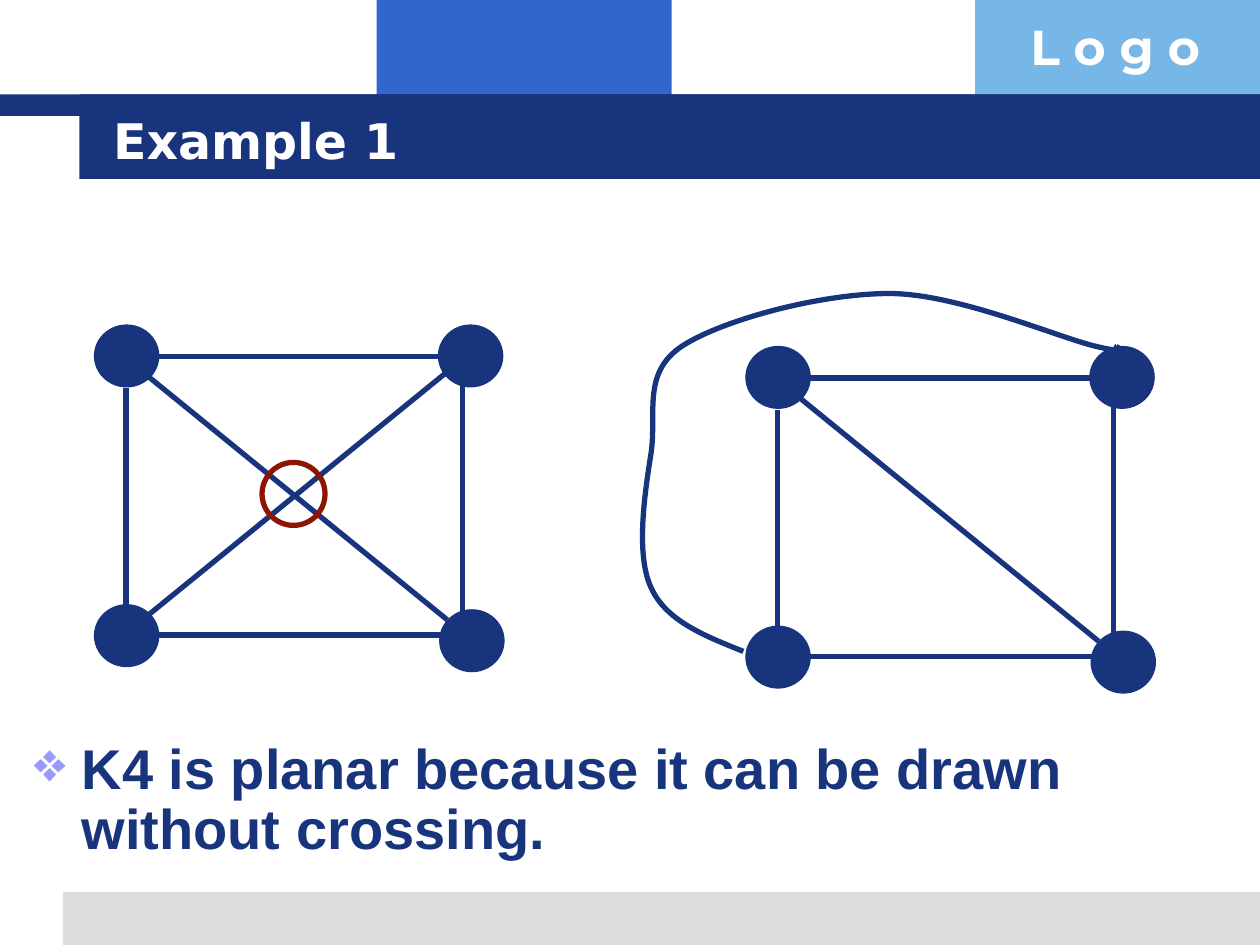
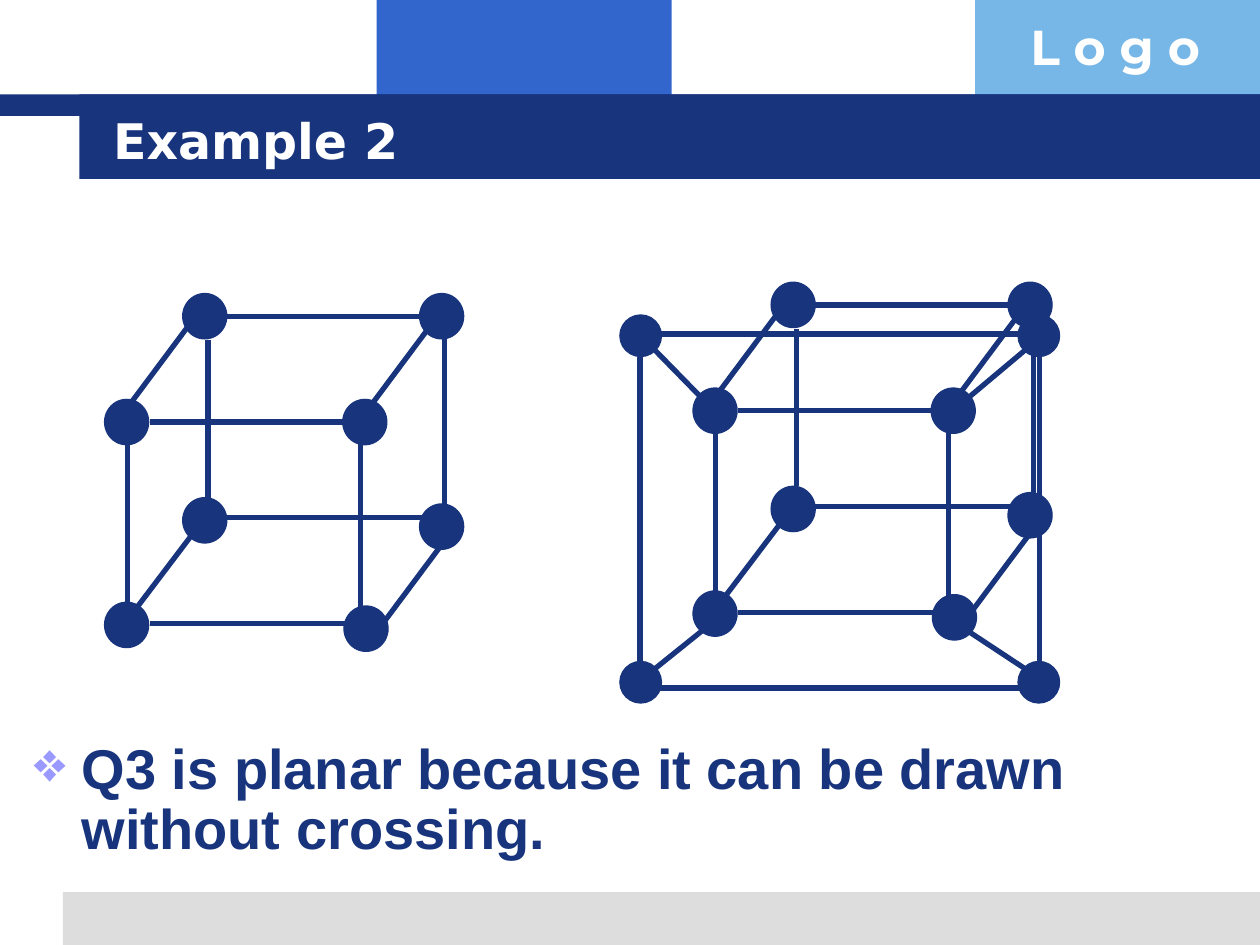
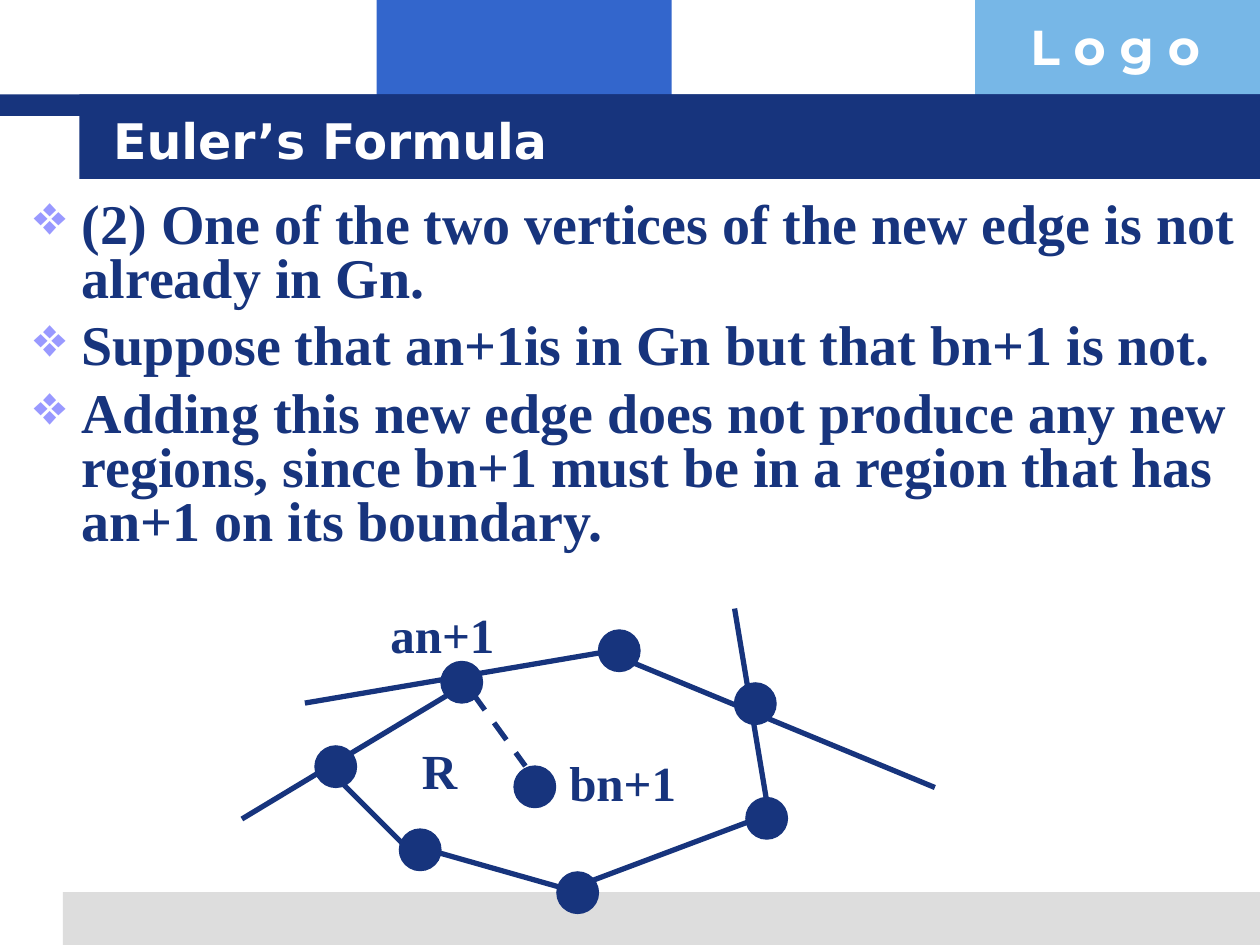
from dataclasses import dataclass
from itertools import product

from lxml import etree
from pptx import Presentation
from pptx import util as u
from pptx.dml.color import RGBColor
from pptx.enum import dml, shapes, text
from pptx.oxml import ns

PX = 9144  # EMU in one px, 100 px to the inch


@dataclass(frozen=True)
class Theme:
    navy: str = "17347D"
    blue: str = "3366CC"
    sky: str = "77B7E7"
    grey: str = "DDDDDD"
    white: str = "FFFFFF"
    red: str = "8C1602"
    bullet: str = "9999FF"
    heading_size: int = 28
    body_size: int = 32
    edge_width: float = 3
    node_line: float = 0.75
    title_font: str = "DejaVu Sans"
    logo_font: str = "Montserrat"
    sans: str = "Arial"
    serif: str = "Times New Roman"


THEME = Theme()

# Complete graph on four vertices, measured from its top left corner
K4_NODES = [(0, 0), (0, 222), (273, 0), (274, 226)]
K4_EDGES = [
    ((38, 37), (280, 234)), ((51, 25), (280, 25)), ((51, 246), (280, 246)),
    ((25, 50), (25, 222)), ((292, 37), (292, 234)),
]
K4_CROSSING = ((38, 234), (280, 37))
K4_DETOUR = [
    (590, 517), (560, 505), (529, 493), (517, 467), (504, 440), (512, 390), (517, 358),
    (521, 326), (510, 296), (541, 275), (573, 254), (651, 233), (706, 233),
    (760, 233), (840, 268), (870, 275), (900, 282), (884, 274), (886, 275),
]

# Cube, measured from its front top left vertex
CUBE_NODES = [(0, 0), (0, 161), (189, 0), (190, 164),
              (62, -84), (250, -84), (250, 83), (62, 78)]
CUBE_EDGES = [
    ((36, 18), (194, 18)), ((36, 178), (194, 178)),
    ((18, 35), (18, 161)), ((203, 26), (203, 169)),
    ((97, -66), (255, -66)), ((96, 94), (254, 94)),
    ((82, -47), (82, 78)), ((270, -49), (270, 94)),
    ((67, -59), (17, 8)), ((259, -59), (209, 8)),
    ((75, 100), (25, 166)), ((267, 116), (217, 183)),
]
OUTER_NODES = list(product((492, 808), (250, 525)))
OUTER_EDGES = [
    ((517, 265), (823, 265)), ((518, 546), (823, 546)),
    ((508, 283), (508, 527)), ((825, 280), (825, 531)),
    ((517, 275), (558, 317)), ((767, 500), (817, 533)),
    ((517, 533), (558, 500)), ((767, 317), (817, 275)),
]

# Region R with the new edge
REGION_NODES = [(350, 525), (250, 592), (317, 658), (442, 692),
                (475, 500), (583, 542), (592, 633), (408, 608)]
REGION_EDGES = [
    ((583, 483), (608, 633)), ((500, 525), (742, 625)), ((242, 558), (483, 517)),
    ((358, 550), (192, 650)), ((267, 617), (333, 683)), ((342, 675), (458, 708)),
    ((467, 700), (600, 650)),
]


def color(code):
    return RGBColor.from_string(code)


def add_preset(page, kind, left, top, width, height, fill=None, line=None, weight=0):
    shape = page.shapes.add_shape(kind, left * PX, top * PX, width * PX, height * PX)
    shape.shadow.inherit = False
    if fill:
        shape.fill.solid()
        shape.fill.fore_color.rgb = color(fill)
    else:
        shape.fill.background()
    if line:
        shape.line.color.rgb = color(line)
        shape.line.width = u.Pt(weight)
    else:
        shape.line.fill.background()


def add_band(page, left, top, width, height, fill):
    add_preset(page, shapes.MSO_SHAPE.RECTANGLE, left, top, width, height, fill)


def add_edge(page, start, end, dashed=False):
    edge = page.shapes.add_connector(
        shapes.MSO_CONNECTOR.STRAIGHT, *(value * PX for value in (*start, *end)))
    edge.line.color.rgb = color(THEME.navy)
    edge.line.width = u.Pt(THEME.edge_width)
    if dashed:
        edge.line.dash_style = dml.MSO_LINE.DASH
    etree.SubElement(edge._element.spPr, ns.qn("a:effectLst"))


def add_graph(page, nodes, edges, node_size, origin=(0, 0)):
    x, y = origin
    for (x1, y1), (x2, y2) in edges:
        add_edge(page, (x + x1, y + y1), (x + x2, y + y2))
    for left, top in nodes:
        add_preset(page, shapes.MSO_SHAPE.OVAL, x + left, y + top, *node_size,
                   THEME.navy, THEME.navy, THEME.node_line)


def add_curve(page, points):
    """Draw cubic curves: a start point, then two handles and an end for each."""
    builder = page.shapes.build_freeform(*points[0], scale=PX)
    builder.add_line_segments(points[1:], close=False)
    curve = builder.convert_to_shape()
    curve.shadow.inherit = False
    curve.fill.background()
    curve.line.color.rgb = color(THEME.navy)
    curve.line.width = u.Pt(THEME.edge_width)
    outline = curve._element.find(".//" + ns.qn("a:path"))
    steps = outline.findall(ns.qn("a:lnTo"))
    for first in range(0, len(steps), 3):
        bend = etree.SubElement(outline, ns.qn("a:cubicBezTo"))
        for step in steps[first:first + 3]:
            bend.append(step[0])
            outline.remove(step)


def add_text(page, left, top, width, height, lines, font, size, ink):
    box = page.shapes.add_textbox(left * PX, top * PX, width * PX, height * PX)
    frame = box.text_frame
    frame.word_wrap = True
    frame.text = "\n".join(lines)
    for para in frame.paragraphs:
        para.font.name = font
        para.font.size = u.Pt(size)
        para.font.bold = True
        para.font.color.rgb = color(ink)
    return frame


def add_bullets(page, left, top, width, height, lines, font, spacing):
    frame = add_text(page, left, top, width, height, lines, font,
                     THEME.body_size, THEME.navy)
    for index, para in enumerate(frame.paragraphs):
        props = para._p.get_or_add_pPr()
        props.set("marL", str(38 * PX))
        props.set("indent", str(-38 * PX))
        tint = etree.Element(ns.qn("a:buClr"))
        etree.SubElement(tint, ns.qn("a:srgbClr"), val=THEME.bullet)
        props.insert(0, tint)
        props.insert(1, etree.Element(ns.qn("a:buChar"), char="❖"))
        para.line_spacing = spacing
        if index:
            para.space_before = u.Pt(8)


def add_label(page, left, top, width, label):
    add_text(page, left, top, width, 57, [label], THEME.serif,
             THEME.heading_size, THEME.navy)


def add_page(deck, title):
    """Add a page with the shared bands, logo word, title and footer."""
    page = deck.slides.add_slide(deck.slide_layouts[6])
    add_band(page, 299, 0, 234, 92, THEME.blue)
    add_band(page, 774, 0, 226, 92, THEME.sky)
    add_band(page, 50, 708, 950, 42, THEME.grey)
    add_band(page, 0, 75, 1000, 17, THEME.navy)
    add_band(page, 63, 75, 937, 67, THEME.navy)
    add_text(page, 808, 8, 193, 57, ["L o g o"], THEME.logo_font,
             THEME.heading_size, THEME.white)
    heading = add_text(page, 80, 80, 853, 62, [title], THEME.title_font,
                       THEME.heading_size, THEME.white)
    heading.vertical_anchor = text.MSO_ANCHOR.MIDDLE
    return page


def add_conclusion(page, sentence):
    add_bullets(page, 17, 583, 900, 108, [sentence], THEME.sans, 0.9)


def build_k4(deck):
    page = add_page(deck, "Example 1")
    add_graph(page, K4_NODES, K4_EDGES + [K4_CROSSING], (51, 49), (75, 258))
    add_preset(page, shapes.MSO_SHAPE.OVAL, 208, 367, 50, 50,
               line=THEME.red, weight=THEME.edge_width)
    add_graph(page, K4_NODES, K4_EDGES, (51, 49), (592, 275))
    add_curve(page, K4_DETOUR)
    add_conclusion(page, "K4 is planar because it can be drawn without crossing.")


def build_cube(deck):
    page = add_page(deck, "Example 2")
    for origin in ((83, 317), (550, 308)):
        add_graph(page, CUBE_NODES, CUBE_EDGES, (35, 36), origin)
    add_graph(page, OUTER_NODES, OUTER_EDGES, (33, 33))
    add_conclusion(page, "Q3 is planar because it can be drawn without crossing.")


def build_euler(deck):
    page = add_page(deck, "Euler’s Formula")
    add_bullets(page, 17, 155, 975, 320, [
        "(2) One of the two vertices of the new edge is not already in Gn.",
        "Suppose that an+1is in Gn but that bn+1 is not.",
        "Adding this new edge does not produce any new regions, since bn+1 must be "
        "in a region that has an+1 on its boundary.",
    ], THEME.serif, 0.8)
    add_graph(page, REGION_NODES, REGION_EDGES, (33, 33))
    add_edge(page, (375, 550), (417, 608), dashed=True)
    add_label(page, 325, 583, 51, "R")
    add_label(page, 300, 475, 117, "an+1")
    add_label(page, 442, 592, 117, "bn+1")


def main():
    deck = Presentation()
    deck.slide_width, deck.slide_height = 1000 * PX, 750 * PX
    build_k4(deck)
    build_cube(deck)
    build_euler(deck)
    deck.save("out.pptx")


if __name__ == "__main__":
    main()
